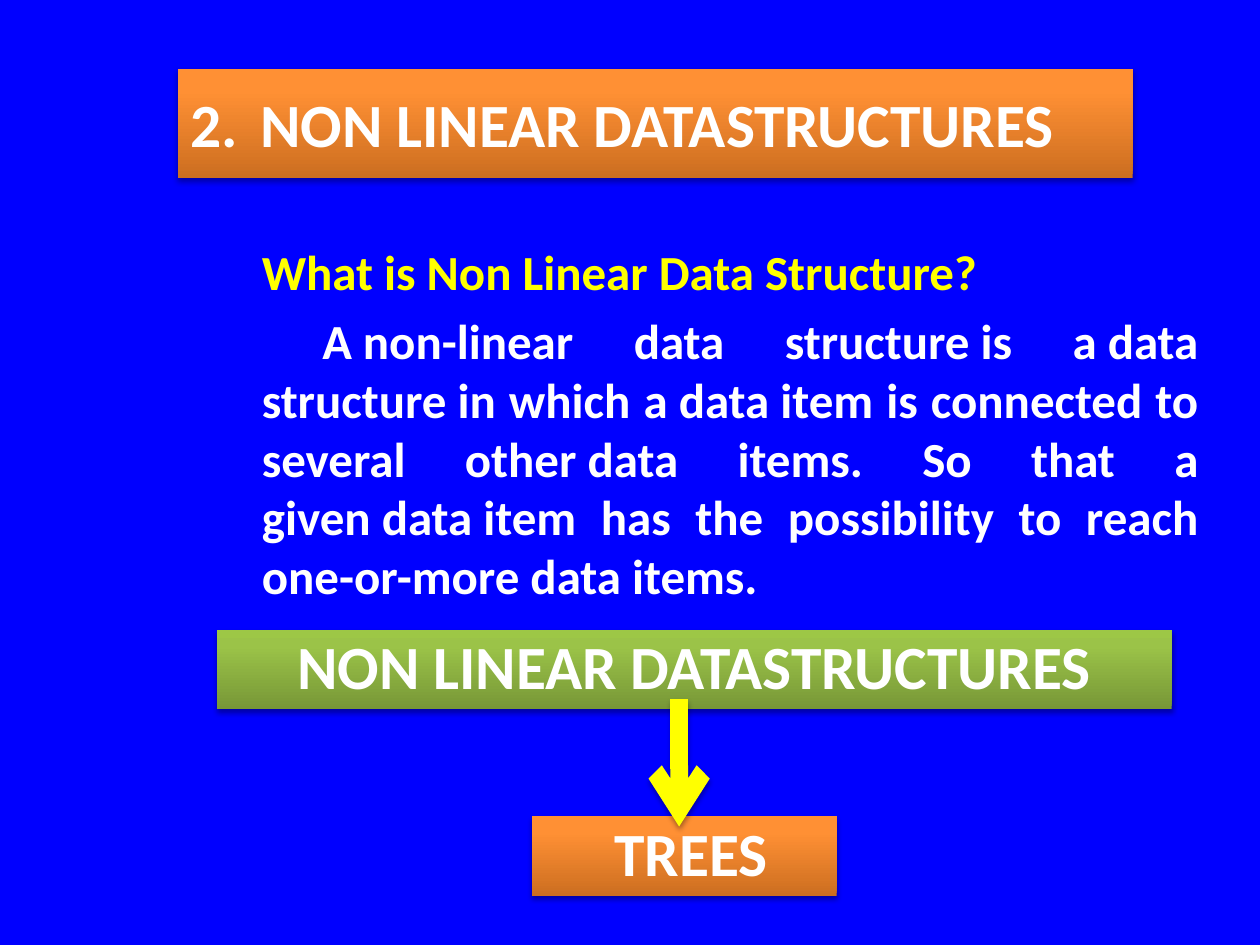
from lxml import etree
from pptx import Presentation
from pptx.dml.color import RGBColor
from pptx.enum.shapes import MSO_CONNECTOR, MSO_SHAPE
from pptx.enum.text import MSO_ANCHOR, PP_ALIGN
from pptx.oxml import parse_xml
from pptx.oxml.ns import nsdecls, qn
from pptx.util import Inches, Pt

RECTANGLE = MSO_SHAPE.RECTANGLE
STRAIGHT = MSO_CONNECTOR.STRAIGHT
MIDDLE = MSO_ANCHOR.MIDDLE
LEFT, CENTER, JUSTIFY = PP_ALIGN.LEFT, PP_ALIGN.CENTER, PP_ALIGN.JUSTIFY

BLUE = RGBColor(0x00, 0x00, 0xFF)
WHITE = RGBColor(0xFF, 0xFF, 0xFF)
YELLOW = RGBColor(0xFF, 0xFF, 0x00)
ORANGE_STOPS = [
    (0, RGBColor(0xCC, 0x6E, 0x20)),
    (80, RGBColor(0xFF, 0x90, 0x34)),
    (100, RGBColor(0xFF, 0x91, 0x36)),
]
GREEN_STOPS = [
    (0, RGBColor(0x77, 0x97, 0x37)),
    (80, RGBColor(0x9B, 0xC3, 0x48)),
    (100, RGBColor(0x9D, 0xC7, 0x46)),
]

FONT = "Calibri"
HARD_SPACE = chr(160)
BANNERS = [
    ("2.\tNON LINEAR DATASTRUCTURES", (1.41, 0.55, 7.58, 0.86), ORANGE_STOPS,
     {"align": LEFT, "margin": 0.56, "indent": -0.56}),
    (" TREES", (4.22, 6.48, 2.42, 0.63), ORANGE_STOPS,
     {"align": CENTER, "line_spacing": 0.9}),
    ("NON LINEAR DATASTRUCTURES", (1.72, 5, 7.58, 0.63), GREEN_STOPS,
     {"align": CENTER, "line_spacing": 0.9}),
]
QUESTION = "What is Non Linear Data Structure?"
ANSWER = (
    "A~non-linear data structure~is a~data structure~in which a~data~item "
    "is connected to several other~data items. So that a given~data~item "
    "has the possibility to reach one-or-more~data~items."
).replace("~", HARD_SPACE)
DEFINITION_BOX = (1.17, 1.87, 8.44, 2.5)
ARROW_X, ARROW_TOP, ARROW_BOTTOM = 5.39, 5.55, 6.56


def write_text(paragraph, text, size, color=WHITE, align=LEFT, margin=0,
               indent=0, space_before=None, line_spacing=None):
    properties = paragraph._p.get_or_add_pPr()
    properties.set("marL", str(Inches(margin)))
    properties.set("indent", str(Inches(indent)))
    paragraph.alignment = align
    if space_before is not None:
        paragraph.space_before = Pt(space_before)
    if line_spacing is not None:
        paragraph.line_spacing = line_spacing
    run = paragraph.add_run()
    run.text = text
    run.font.name = FONT
    run.font.size = Pt(size)
    run.font.bold = True
    run.font.color.rgb = color


def add_shadow(shape):
    shape._element.spPr.append(parse_xml(
        f'<a:effectLst {nsdecls("a")}>'
        f'<a:outerShdw blurRad="{Pt(3.1)}" dist="{Pt(1.8)}" dir="5400000" rotWithShape="0">'
        '<a:srgbClr val="000000"><a:alpha val="35000"/></a:srgbClr>'
        '</a:outerShdw></a:effectLst>'))


def fill_gradient(shape, stops):
    stop_xml = "".join(
        f'<a:gs pos="{position * 1000}"><a:srgbClr val="{color}"/></a:gs>'
        for position, color in stops)
    gradient = parse_xml(
        f'<a:gradFill {nsdecls("a")} rotWithShape="1"><a:gsLst>{stop_xml}</a:gsLst>'
        '<a:lin ang="16200000" scaled="0"/></a:gradFill>')
    shape._element.spPr.find(qn("a:prstGeom")).addnext(gradient)


def add_banner(slide, text, box, stops, text_format):
    banner = slide.shapes.add_shape(RECTANGLE, *map(Inches, box))
    banner.line.fill.background()
    fill_gradient(banner, stops)
    add_shadow(banner)
    frame = banner.text_frame
    frame.word_wrap = True
    frame.vertical_anchor = MIDDLE
    write_text(frame.paragraphs[0], text, 35.1, **text_format)


def add_definition(slide):
    frame = slide.shapes.add_textbox(*map(Inches, DEFINITION_BOX)).text_frame
    frame.word_wrap = True
    write_text(frame.paragraphs[0], QUESTION, 28, color=YELLOW,
               align=JUSTIFY, margin=0.81)
    write_text(frame.add_paragraph(), ANSWER, 28, align=JUSTIFY,
               margin=0.81, indent=0.48, space_before=5.6)


def add_arrow(slide):
    arrow = slide.shapes.add_connector(
        STRAIGHT, *map(Inches, (ARROW_X, ARROW_TOP, ARROW_X, ARROW_BOTTOM)))
    arrow.line.color.rgb = YELLOW
    arrow.line.width = Pt(10)
    etree.SubElement(arrow.line._get_or_add_ln(), qn("a:tailEnd"), type="arrow")
    add_shadow(arrow)


def main():
    deck = Presentation()
    deck.slide_width, deck.slide_height = Inches(10), Inches(7.5)
    slide = deck.slides.add_slide(deck.slide_layouts[6])
    slide.background.fill.solid()
    slide.background.fill.fore_color.rgb = BLUE
    add_definition(slide)
    for banner in BANNERS:
        add_banner(slide, *banner)
    add_arrow(slide)
    deck.save("out.pptx")


if __name__ == "__main__":
    main()
